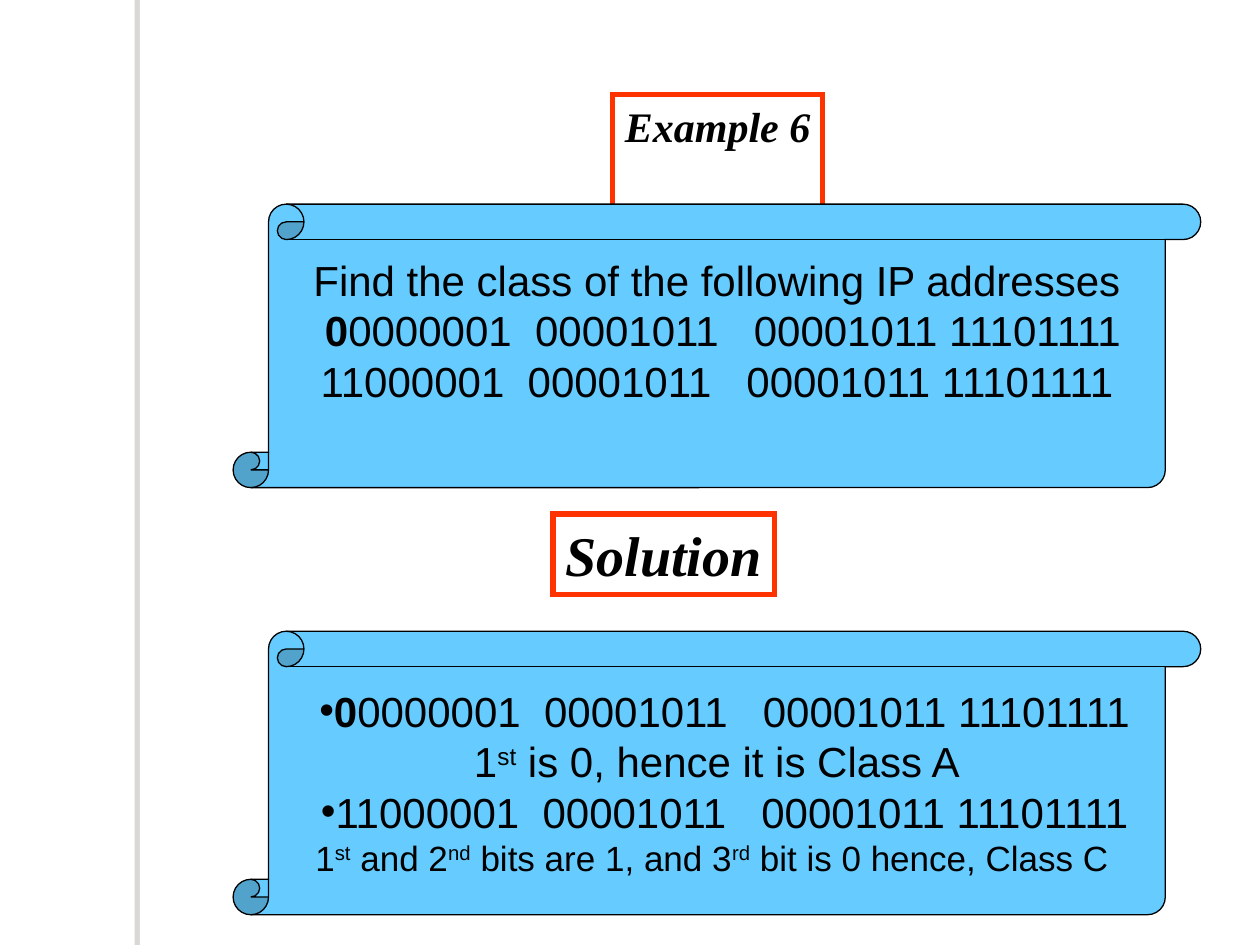
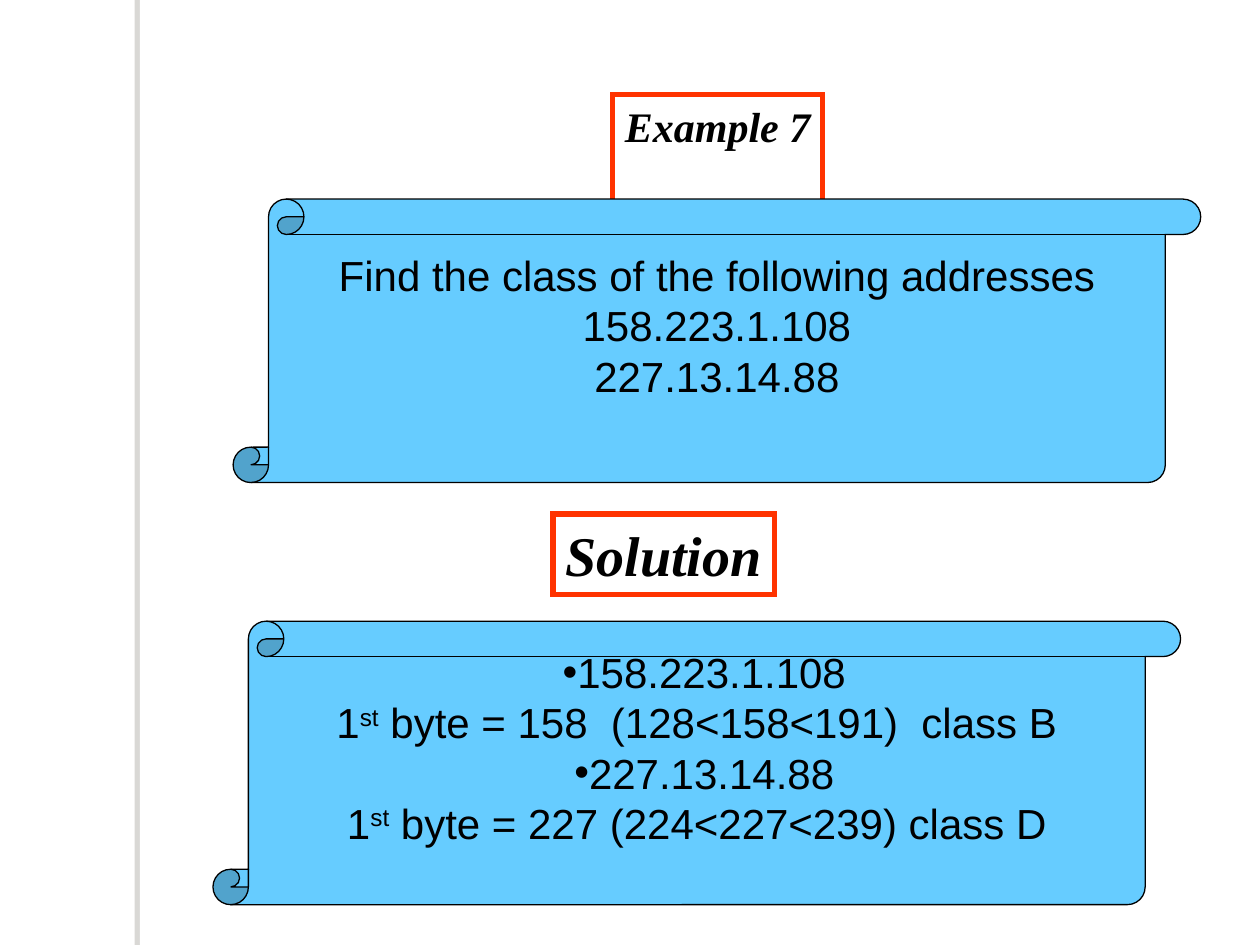
from lxml import etree
from pptx import Presentation
from pptx.dml.color import RGBColor
from pptx.enum.shapes import MSO_SHAPE
from pptx.enum.text import MSO_ANCHOR, MSO_AUTO_SIZE, PP_ALIGN
from pptx.oxml import parse_xml
from pptx.oxml.ns import nsdecls, qn
from pptx.util import Inches, Pt

RECTANGLE = MSO_SHAPE.RECTANGLE
SCROLL = MSO_SHAPE.VERTICAL_SCROLL
TOP, MIDDLE = MSO_ANCHOR.TOP, MSO_ANCHOR.MIDDLE
LEFT, CENTER = PP_ALIGN.LEFT, PP_ALIGN.CENTER
NO_FIT, GROW = MSO_AUTO_SIZE.NONE, MSO_AUTO_SIZE.SHAPE_TO_FIT_TEXT
TITLE_ONLY = 5

WHITE, BLACK = "FFFFFF", "000000"
FRAME_RED, SCROLL_BLUE, BAND_SHADOW = "FF3300", "66CCFF", "706B5F"
HEADING_FONT = {"name": "Times New Roman", "bold": True, "italic": True}
BODY_FONT = {"name": "Arial", "bold": False, "italic": False}
EMPTY_LINE = 0.39  # room kept free below a text, one line of 24 pt
BULLET_MARGIN = 0.12


def color(hex_value):
    return RGBColor.from_string(hex_value)


def apply(target, values):
    for name, value in values.items():
        setattr(target, name, value)


class ExampleDeck:
    """Holds the shared style and the slide being built."""

    def __init__(self):
        self.prs = Presentation()
        self.prs.slide_width, self.prs.slide_height = Inches(10), Inches(7.5)
        self.slide = None

    def start_slide(self, title):
        layout = self.prs.slide_layouts[TITLE_ONLY]
        self.slide = self.prs.slides.add_slide(layout)
        self.side_band()
        heading = self.slide.shapes.title
        apply(heading, dict(left=Inches(4.86), top=Inches(0.75),
                            width=Inches(1.67), height=Inches(0.5)))
        self.frame_heading(heading, title, 24)

    def add_box(self, preset, left, top, width, height):
        box = self.slide.shapes.add_shape(
            preset, Inches(left), Inches(top), Inches(width), Inches(height))
        box.shadow.inherit = False
        return box

    def paint(self, shape, fill, line_color, weight):
        shape.fill.solid()
        shape.fill.fore_color.rgb = color(fill)
        shape.line.color.rgb = color(line_color)
        shape.line.width = Pt(weight)
        outline = shape.line._get_or_add_ln()
        etree.SubElement(outline, qn("a:miter"), lim="800000")

    def side_band(self):
        band = self.add_box(RECTANGLE, 1.11, 0, 0.08, 7.5)
        band.fill.solid()
        band.fill.fore_color.rgb = color(WHITE)
        band.line.fill.background()
        effects = band.fill._xPr.find(qn("a:effectLst"))
        effects.append(parse_xml(
            f'<a:outerShdw {nsdecls("a")} dist="{Pt(3)}" dir="10800000" '
            f'algn="ctr" rotWithShape="0"><a:srgbClr val="{BAND_SHADOW}">'
            '<a:alpha val="25000"/></a:srgbClr></a:outerShdw>'))

    def set_frame(self, shape, **values):
        frame = shape.text_frame
        apply(frame, dict(word_wrap=False, margin_left=Inches(0.1),
                          margin_right=Inches(0.1), margin_top=Inches(0.05),
                          margin_bottom=Inches(0.05)))
        apply(frame, values)
        return frame

    def add_run(self, paragraph, text, size, style):
        run = paragraph.add_run()
        run.text = text
        apply(run.font, {**style, "size": Pt(size)})
        run.font.color.rgb = color(BLACK)
        return run

    def frame_heading(self, shape, text, size):
        """Frame a one-line heading; no right margin, so that it never wraps."""
        self.paint(shape, WHITE, FRAME_RED, 3)
        frame = self.set_frame(shape, vertical_anchor=TOP, auto_size=GROW)
        if shape.is_placeholder:
            frame.margin_right = 0
        frame.paragraphs[0].alignment = LEFT
        self.add_run(frame.paragraphs[0], text, size, HEADING_FONT)

    def solution_heading(self):
        box = self.add_box(RECTANGLE, 4.39, 4.08, 1.76, 0.64)
        self.frame_heading(box, "Solution", 32)

    def add_bullet(self, paragraph):
        properties = paragraph._p.get_or_add_pPr()
        properties.set("marL", str(Inches(BULLET_MARGIN)))
        properties.set("indent", "0")
        bullet_color = etree.SubElement(properties, qn("a:buClr"))
        etree.SubElement(bullet_color, qn("a:srgbClr"), val=BLACK)
        etree.SubElement(properties, qn("a:buFont"), typeface=BODY_FONT["name"])
        etree.SubElement(properties, qn("a:buChar"), char="•")

    def scroll(self, left, top, lines, free_below=0):
        """Each line is (runs, format); a run is (text, "", "bold" or "super")."""
        box = self.add_box(SCROLL, left, top, 7.68, 2.25)
        self.paint(box, SCROLL_BLUE, BLACK, 0.75)
        frame = self.set_frame(box, vertical_anchor=MIDDLE, auto_size=NO_FIT,
                               margin_bottom=Inches(0.05 + free_below))
        for index, (runs, options) in enumerate(lines):
            paragraph = frame.add_paragraph() if index else frame.paragraphs[0]
            paragraph.alignment = CENTER
            if options.get("bullet"):
                self.add_bullet(paragraph)
            for text, kind in runs:
                style = {**BODY_FONT, "bold": kind == "bold"}
                run = self.add_run(paragraph, text, options.get("size", 24), style)
                if kind == "super":
                    run._r.get_or_add_rPr().set("baseline", "30000")


def line(*parts, **options):
    """Plain strings become plain runs; tuples keep their kind."""
    return [p if isinstance(p, tuple) else (p, "") for p in parts], options


ST, ND, RD = (("st", "super"), ("nd", "super"), ("rd", "super"))
FIRST_TAIL = "0000001  00001011   00001011 11101111"
SECOND_BINARY = "11000001  00001011   00001011 11101111"
FIRST_DOTTED, SECOND_DOTTED = "158.223.1.108", "227.13.14.88"


def main():
    deck = ExampleDeck()

    deck.start_slide("Example 6")
    deck.solution_heading()
    deck.scroll(1.85, 1.62, [
        line("Find the class of the following IP addresses"),
        line((" 0", "bold"), FIRST_TAIL),
        line(SECOND_BINARY),
    ], EMPTY_LINE)
    deck.scroll(1.85, 5.01, [
        line(("0", "bold"), FIRST_TAIL, bullet=True),
        line("1", ST, " is 0, hence it is Class A"),
        line(SECOND_BINARY, bullet=True),
        line("1", ST, " and 2", ND, " bits are 1, and 3", RD,
             " bit is 0 hence, Class C ", size=20),
    ])

    deck.start_slide("Example 7")
    deck.solution_heading()
    deck.scroll(1.85, 1.58, [
        line("Find the class of the following addresses"),
        line(FIRST_DOTTED),
        line(SECOND_DOTTED),
    ], EMPTY_LINE)
    deck.scroll(1.69, 4.93, [
        line(FIRST_DOTTED, bullet=True),
        line("1", ST, " byte = 158  (128<158<191)  class B"),
        line(SECOND_DOTTED, bullet=True),
        line("1", ST, " byte = 227 (224<227<239) class D"),
    ], EMPTY_LINE)

    deck.prs.save("out.pptx")


if __name__ == "__main__":
    main()
